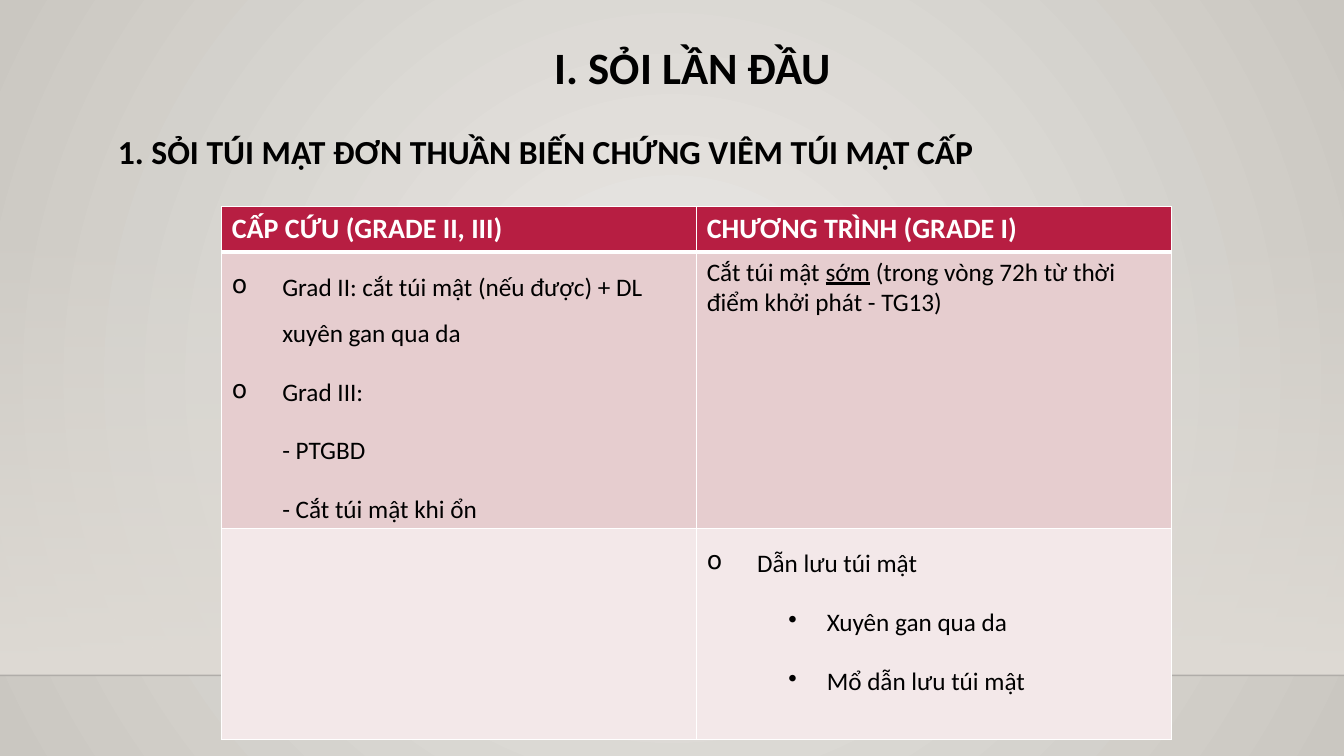
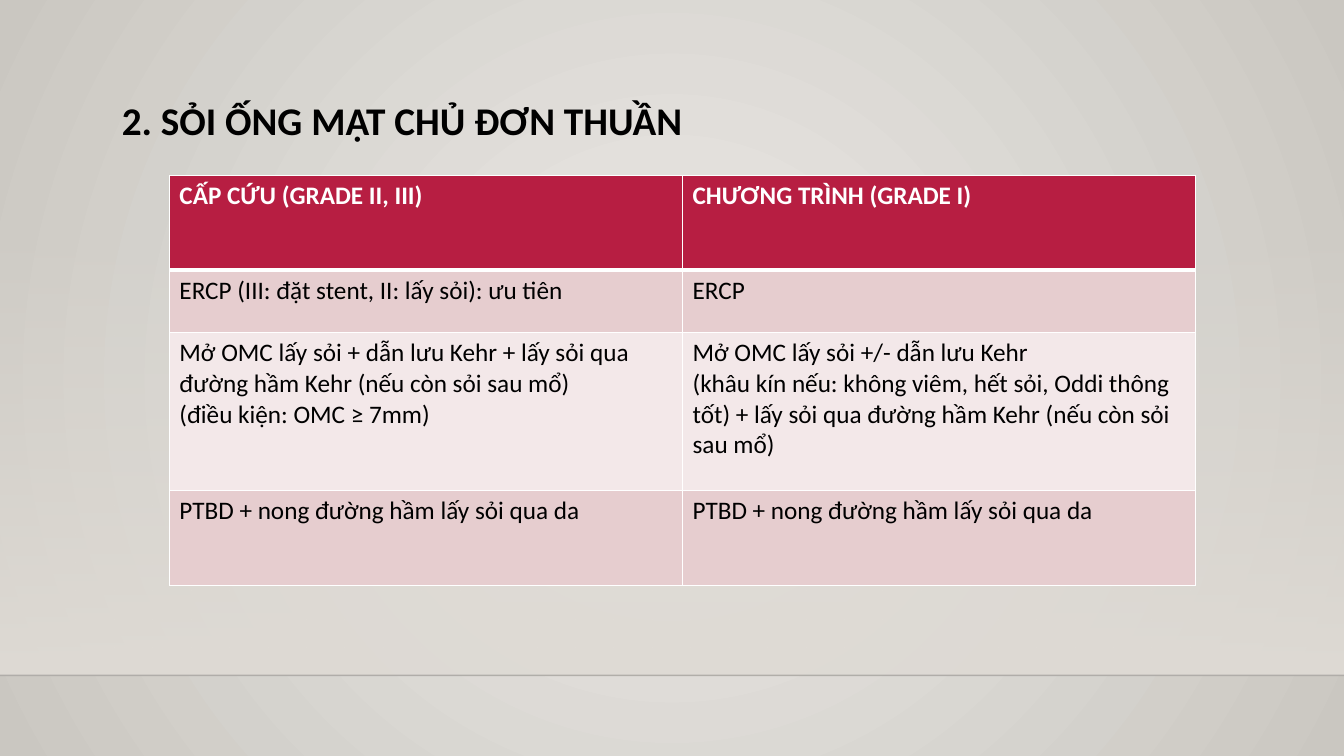
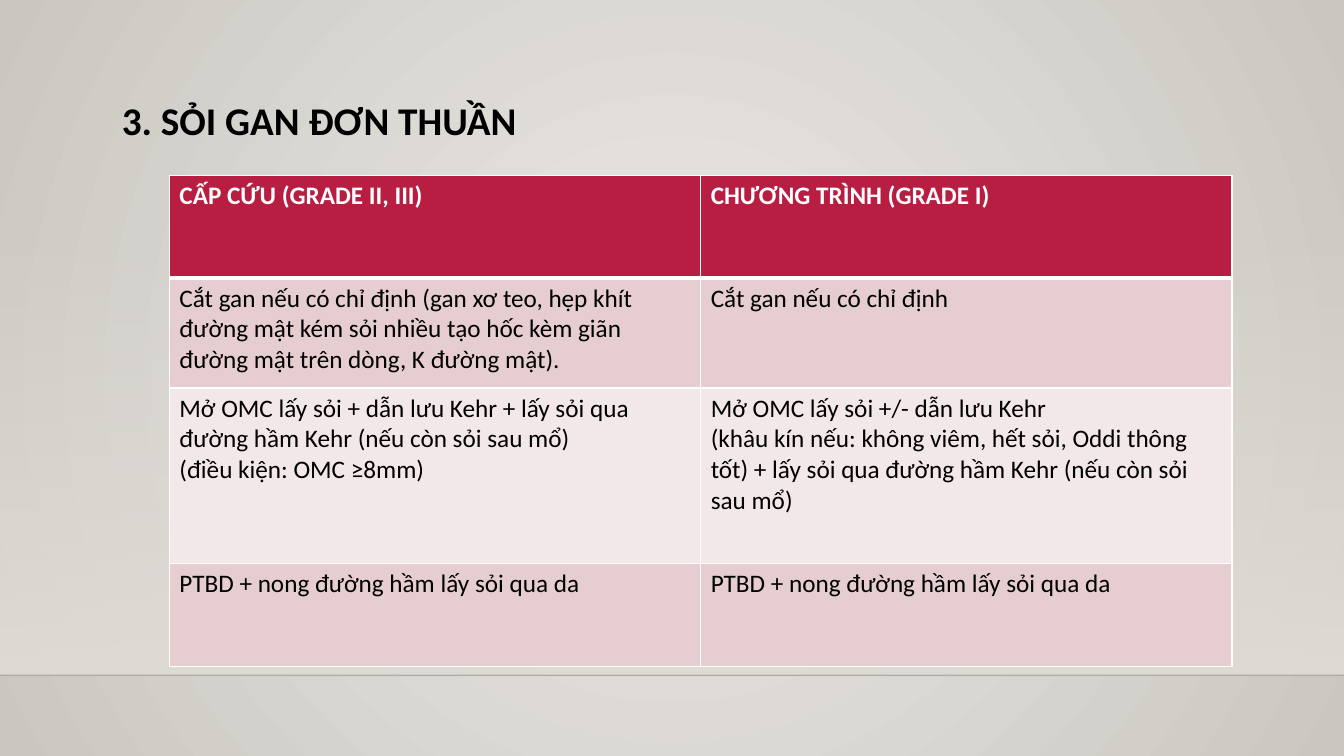
from dataclasses import dataclass
from typing import Optional

from lxml.etree import SubElement
from pptx import Presentation
from pptx.dml.color import RGBColor
from pptx.enum.shapes import MSO_CONNECTOR, MSO_SHAPE
from pptx.enum.text import MSO_ANCHOR, PP_ALIGN
from pptx.oxml.ns import qn
from pptx.util import Inches, Pt


@dataclass(frozen=True)
class Theme:
    font: str = "Calibri"
    ink: str = "000000"
    white: str = "FFFFFF"
    header: str = "B71E42"
    bands: tuple[str, str] = ("E6CDCF", "F3E8E9")
    backdrop: tuple[str, str] = ("ECEAE7", "CAC7C1")
    wall: str = "DFDBD5"
    floor_line: str = "000001"
    title_size: int = 32
    section_size: int = 28
    subtitle_size: int = 24
    large_header_size: int = 20
    body_size: int = 18


THEME = Theme()
WIDTH, HEIGHT = 13.33, 7.5
WALL_TOP, FLOOR = 2.21, 6.7


@dataclass(frozen=True)
class Words:
    text: str
    underline: bool = False


@dataclass(frozen=True)
class Para:
    runs: tuple[Words, ...]
    size: int = THEME.body_size
    color: str = THEME.ink
    bold: bool = False
    centered: bool = False
    spaced: bool = False
    level: int = 0
    margin: float = 0
    indent: float = 0
    bullet: Optional[str] = None


Cell = tuple[Para, ...]


@dataclass(frozen=True)
class Heading:
    left: float
    top: float
    width: float
    height: float
    paras: Cell


@dataclass(frozen=True)
class Comparison:
    left: float
    top: float
    column_width: float
    row_heights: tuple[float, ...]
    header_size: int
    rows: tuple[tuple[Cell, Cell], ...]


@dataclass(frozen=True)
class Topic:
    heading: Heading
    comparison: Comparison


def plain(*lines: str) -> Cell:
    return tuple(Para((Words(line),)) for line in lines)


def title(text: str, size: int, centered: bool = False) -> Para:
    return Para((Words(text),), size, bold=True, centered=centered, spaced=True)


def item(text: str, level: int = 0, margin: float = 0.5, indent: float = 0,
         bullet: Optional[str] = None) -> Para:
    return Para((Words(text),), spaced=True, level=level, margin=margin,
                indent=indent, bullet=bullet)


def main_item(text: str) -> Para:
    return item(text, indent=-0.5, bullet="o")


def sub_item(text: str) -> Para:
    return item(text, 1, 1.19, -0.38, "•")


def section_heading(text: str) -> Heading:
    return Heading(1.11, 0.67, 9.47, 0.73, (title(text, THEME.section_size),))


def open_surgery(condition: str) -> tuple[Cell, Cell]:
    return (
        plain("Mở OMC lấy sỏi + dẫn lưu Kehr + lấy sỏi qua đường hầm Kehr (nếu còn sỏi sau mổ)",
              condition),
        plain("Mở OMC lấy sỏi +/- dẫn lưu Kehr",
              "(khâu kín nếu: không viêm, hết sỏi, Oddi thông tốt) + lấy sỏi qua đường hầm Kehr "
              "(nếu còn sỏi sau mổ)"),
    )


COLUMN_TITLES = ("CẤP CỨU (GRADE II, III)", "CHƯƠNG TRÌNH (GRADE I)")
THROUGH_SKIN = (plain("PTBD + nong đường hầm lấy sỏi qua da"),) * 2

TOPICS = (
    Topic(
        Heading(1.07, 0.08, 11.61, 1.65, (
            title("I. SỎI LẦN ĐẦU", THEME.title_size, centered=True),
            title("1. SỎI TÚI MẬT ĐƠN THUẦN BIẾN CHỨNG VIÊM TÚI MẬT CẤP", THEME.subtitle_size),
        )),
        Comparison(2.2, 2.05, 4.71, (0.45, 2.74, 2.1), THEME.large_header_size, (
            ((main_item("Grad II: cắt túi mật (nếu được) + DL xuyên gan qua da"),
              main_item("Grad III:"),
              item("- PTGBD", 1),
              item("- Cắt túi mật khi ổn", 1)),
             (Para((Words("Cắt túi mật "), Words("sớm", True),
                    Words(" (trong vòng 72h từ thời điểm khởi phát - TG13)"))),)),
            ((),
             (main_item("Dẫn lưu túi mật"),
              sub_item("Xuyên gan qua da"),
              sub_item("Mổ dẫn lưu túi mật"))),
        )),
    ),
    Topic(
        section_heading("2. SỎI ỐNG MẬT CHỦ ĐƠN THUẦN"),
        Comparison(1.68, 1.74, 5.09, (0.94, 0.62, 1.57, 0.94), THEME.body_size, (
            (plain("ERCP (III: đặt stent, II: lấy sỏi): ưu tiên"), plain("ERCP")),
            open_surgery("(điều kiện: OMC ≥ 7mm)"),
            THROUGH_SKIN,
        )),
    ),
    Topic(
        section_heading("3. SỎI GAN ĐƠN THUẦN"),
        Comparison(1.68, 1.74, 5.27, (1.02, 1.09, 1.74, 1.02), THEME.body_size, (
            (plain("Cắt gan nếu có chỉ định (gan xơ teo, hẹp khít đường mật kém sỏi nhiều "
                   "tạo hốc kèm giãn đường mật trên dòng, K đường mật)."),
             plain("Cắt gan nếu có chỉ định")),
            open_surgery("(điều kiện: OMC ≥8mm)"),
            THROUGH_SKIN,
        )),
    ),
)


def rgb(color: str) -> RGBColor:
    return RGBColor.from_string(color)


def set_gradient(fill, colors: tuple[str, str]) -> None:
    fill.gradient()
    for stop, color in zip(fill.gradient_stops, colors):
        stop.color.rgb = rgb(color)


def set_alpha(element, percent: int) -> None:
    color = next(element.iter(qn("a:srgbClr")))
    SubElement(color, qn("a:alpha"), val=str(percent * 1000))


def paint_backdrop(master) -> None:
    set_gradient(master.background.fill, THEME.backdrop)
    gradient = next(master.element.iter(qn("a:gradFill")))
    for linear in gradient.findall(qn("a:lin")):
        gradient.remove(linear)
    circle = SubElement(gradient, qn("a:path"), path="circle")
    SubElement(circle, qn("a:fillToRect"), l="50000", t="50000", r="50000", b="50000")


def draw_room(slide) -> None:
    wall = slide.shapes.add_shape(MSO_SHAPE.RECTANGLE, 0, Inches(WALL_TOP),
                                  Inches(WIDTH), Inches(FLOOR - WALL_TOP))
    wall.shadow.inherit = False
    wall.line.fill.background()
    set_gradient(wall.fill, (THEME.wall, THEME.wall))
    wall.fill.gradient_angle = 270
    set_alpha(wall.element.spPr, 0)
    floor = slide.shapes.add_connector(MSO_CONNECTOR.STRAIGHT, 0, Inches(FLOOR),
                                       Inches(WIDTH), Inches(FLOOR))
    floor.line.width = Pt(1)
    floor.line.color.rgb = rgb(THEME.floor_line)
    set_alpha(floor.element.spPr, 20)
    SubElement(floor.element.spPr, qn("a:effectLst"))


def write(frame, paras: Cell) -> None:
    frame.word_wrap = True
    for index, para in enumerate(paras):
        paragraph = frame.add_paragraph() if index else frame.paragraphs[0]
        paragraph.level = para.level
        properties = paragraph._p.get_or_add_pPr()
        properties.set("marL", str(Inches(para.margin)))
        properties.set("indent", str(Inches(para.indent)))
        if para.bullet:
            SubElement(properties, qn("a:buChar"), char=para.bullet)
        paragraph.alignment = PP_ALIGN.CENTER if para.centered else PP_ALIGN.LEFT
        if para.spaced:
            paragraph.line_spacing = 1.5
            if index:
                paragraph.space_before = Pt(para.size / 2)
        for words in para.runs:
            run = paragraph.add_run()
            run.text = words.text
            run.font.name = THEME.font
            run.font.size = Pt(para.size)
            run.font.bold = para.bold
            run.font.underline = words.underline
            run.font.color.rgb = rgb(para.color)


def draw_heading(slide, heading: Heading) -> None:
    box = slide.shapes.add_textbox(Inches(heading.left), Inches(heading.top),
                                   Inches(heading.width), Inches(heading.height))
    box.text_frame.vertical_anchor = MSO_ANCHOR.TOP
    write(box.text_frame, heading.paras)


def set_borders(cell, top: int, bottom: int) -> None:
    properties = cell._tc.get_or_add_tcPr()
    for side, width in (("L", 1), ("R", 1), ("T", top), ("B", bottom)):
        line = SubElement(properties, qn(f"a:ln{side}"), w=str(Pt(width)))
        SubElement(SubElement(line, qn("a:solidFill")), qn("a:srgbClr"), val=THEME.white)


def draw_comparison(slide, comparison: Comparison) -> None:
    header = tuple((Para((Words(text),), comparison.header_size, THEME.white, True),)
                   for text in COLUMN_TITLES)
    rows = (header, *comparison.rows)
    table = slide.shapes.add_table(
        len(rows), len(header), Inches(comparison.left), Inches(comparison.top),
        Inches(comparison.column_width * len(header)),
        Inches(sum(comparison.row_heights))).table
    table.horz_banding = False
    for column in table.columns:
        column.width = Inches(comparison.column_width)
    for index, (paras_by_column, height) in enumerate(zip(rows, comparison.row_heights)):
        table.rows[index].height = Inches(height)
        color = THEME.bands[(index - 1) % 2] if index else THEME.header
        for cell, paras in zip(table.rows[index].cells, paras_by_column):
            set_borders(cell, top=3 if index == 1 else 1, bottom=1 if index else 3)
            cell.fill.solid()
            cell.fill.fore_color.rgb = rgb(color)
            write(cell.text_frame, paras)


def main() -> None:
    deck = Presentation()
    deck.slide_width, deck.slide_height = Inches(WIDTH), Inches(HEIGHT)
    paint_backdrop(deck.slide_master)
    for topic in TOPICS:
        slide = deck.slides.add_slide(deck.slide_layouts[6])
        draw_room(slide)
        draw_heading(slide, topic.heading)
        draw_comparison(slide, topic.comparison)
    deck.save("out.pptx")


if __name__ == "__main__":
    main()
